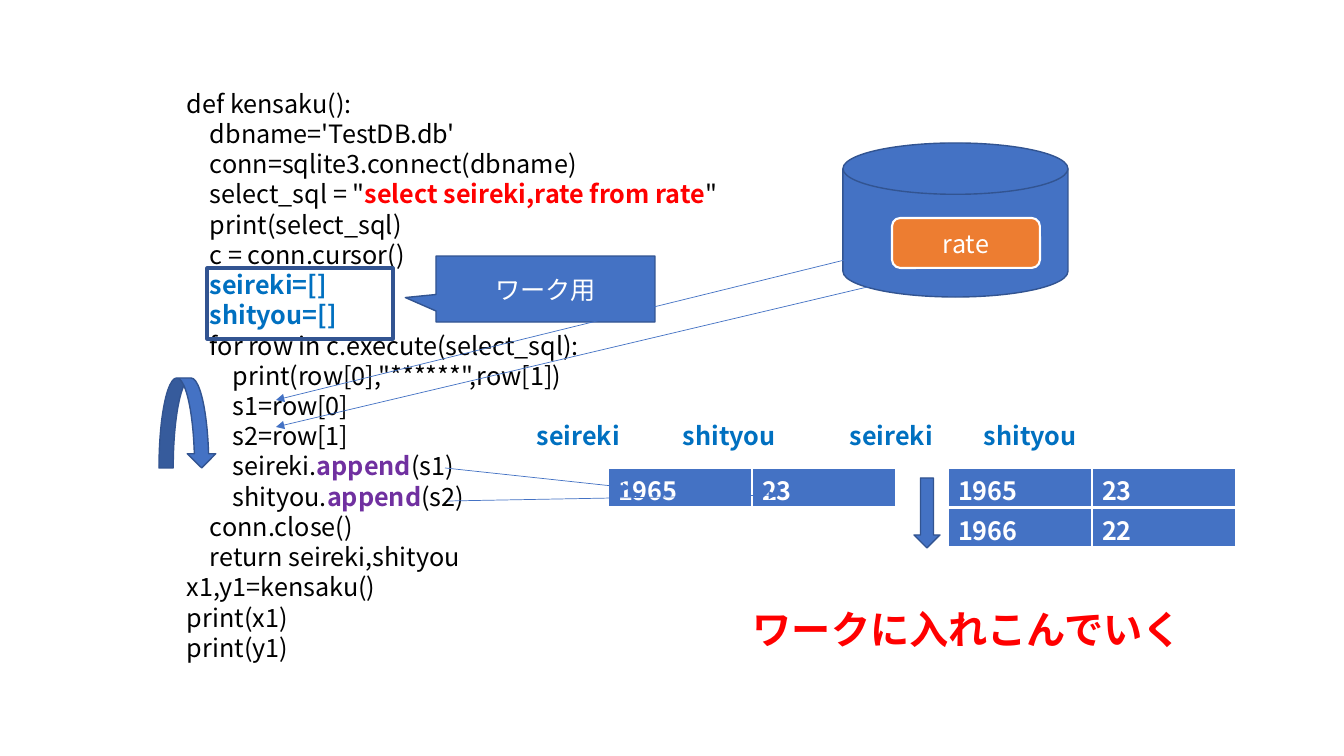
from pptx import Presentation
from pptx.dml.color import RGBColor
from pptx.enum.shapes import MSO_CONNECTOR, MSO_SHAPE
from pptx.enum.text import MSO_ANCHOR, PP_ALIGN
from pptx.oxml.ns import qn
from pptx.util import Pt
from lxml.etree import SubElement

FONT = "Noto Sans CJK JP"
BLUE, EDGE, ORANGE = "4472C4", "325491", "ED7D31"
BLACK, WHITE, RED, SKY, PURPLE = "000000", "FFFFFF", "FF0000", "0070C0", "7030A0"

# Each code line: indent level, then runs of (text, colour); coloured runs are bold
CODE = [
    (0, [("def kensaku():", BLACK)]),
    (1, [("dbname='TestDB.db'", BLACK)]),
    (1, [("conn=sqlite3.connect(dbname)", BLACK)]),
    (1, [('select_sql = "', BLACK), ("select seireki,rate from rate", RED), ('"', BLACK)]),
    (1, [("print(select_sql)", BLACK)]),
    (1, [("c = conn.cursor()", BLACK)]),
    (1, [("seireki=[]", SKY)]),
    (1, [("shityou=[]", SKY)]),
    (1, [("for row in c.execute(select_sql):", BLACK)]),
    (2, [('print(row[0],"******",row[1])', BLACK)]),
    (2, [("s1=row[0]", BLACK)]),
    (2, [("s2=row[1]", BLACK)]),
    (2, [("seireki.", BLACK), ("append", PURPLE), ("(s1)", BLACK)]),
    (2, [("shityou.", BLACK), ("append", PURPLE), ("(s2)", BLACK)]),
    (1, [("conn.close()", BLACK)]),
    (1, [("return seireki,shityou", BLACK)]),
    (0, [("x1,y1=kensaku()", BLACK)]),
    (0, [("print(x1)", BLACK)]),
    (0, [("print(y1)", BLACK)]),
]
HEADS = [("seireki", 537), ("shityou", 683), ("seireki", 850), ("shityou", 984)]
ROWS = [(608, 468, ["1965", "23"]), (948, 468, ["1965", "23"]),
        (948, 508, ["1966", "22"])]
APPENDS = [(445, 468, 631, 488), (448, 501, 777, 495)]
FETCHES = [(861, 256, 276, 400), (914, 276, 276, 427)]
STEP, INDENT, PAD, CELL, HIGH = 21.6, 23, 10, 144, 40

SCALE = 914400 / 100.8


def px(*nums):
    """Turn pixels into a list of EMU."""
    return [round(n * SCALE) for n in nums]


def rgb(code):
    """Turn a hex string into a colour."""
    return RGBColor.from_string(code)


def write(par, text, size=18, color=BLACK, bold=False):
    """Add one formatted run to a paragraph."""
    run = par.add_run()
    run.text = text
    font = run.font
    font.size, font.bold, font.name = Pt(size), bold, FONT
    font.color.rgb = rgb(color)
    SubElement(font._element, qn("a:ea"), typeface=FONT)


def box(*area):
    """Add an empty text box and return its frame."""
    frame = slide.shapes.add_textbox(*px(*area)).text_frame
    frame.word_wrap = True
    return frame


def shape(kind, area, fill=BLUE, line=EDGE, width=1, text="", adjust=()):
    """Add a preset shape with optional centred text."""
    item = slide.shapes.add_shape(kind, *px(*area))
    item.shadow.inherit = False
    if fill:
        item.fill.solid()
        item.fill.fore_color.rgb = rgb(fill)
    else:
        item.fill.background()
    item.line.color.rgb = rgb(line)
    item.line.width = Pt(width)
    for spot, value in enumerate(adjust):
        item.adjustments[spot] = value
    if text:
        frame = item.text_frame
        frame.vertical_anchor = MSO_ANCHOR.MIDDLE
        frame.paragraphs[0].alignment = PP_ALIGN.CENTER
        write(frame.paragraphs[0], text, color=WHITE)


def arrow(*ends):
    """Add a thin line with a triangle at its end."""
    item = slide.shapes.add_connector(MSO_CONNECTOR.STRAIGHT, *px(*ends))
    item.line.color.rgb = rgb(BLUE)
    item.line.width = Pt(0.5)
    SubElement(item.line._get_or_add_ln(), qn("a:tailEnd"), type="triangle")
    SubElement(item._element.spPr, qn("a:effectLst"))


def edge(cell):
    """Give a cell white borders, thick below."""
    props = cell._tc.get_or_add_tcPr()
    for spot, (side, width) in enumerate([("L", 1), ("R", 1), ("T", 1), ("B", 3)]):
        line = SubElement(props, qn("a:ln" + side), w=str(Pt(width)))
        fill = SubElement(line, qn("a:solidFill"))
        SubElement(fill, qn("a:srgbClr"), val=WHITE)
        props.insert(spot, line)


def record(left, top, values):
    """Add a one-row table."""
    table = slide.shapes.add_table(
        1, len(values), *px(left, top, CELL * len(values), HIGH)).table
    for cell, value in zip(table.rows[0].cells, values):
        cell.fill.solid()
        cell.fill.fore_color.rgb = rgb(BLUE)
        cell.margin_top, cell.margin_bottom = px(PAD, 0)
        par = cell.text_frame.paragraphs[0]
        par.line_spacing = Pt(STEP)
        write(par, value, color=WHITE, bold=True)
        edge(cell)


deck = Presentation()
deck.slide_width, deck.slide_height = px(1344, 756)
slide = deck.slides.add_slide(deck.slide_layouts[6])

frame = box(177, 83, 1118, 591)
for num, (level, runs) in enumerate(CODE):
    par = frame.add_paragraph() if num else frame.paragraphs[0]
    par.line_spacing = Pt(STEP)
    par._p.get_or_add_pPr().set("marL", str(px(INDENT * level)[0]))
    for text, color in runs:
        write(par, text, color=color, bold=color != BLACK)

for text, left in HEADS:
    par = box(left - PAD, 415, 130, 40).paragraphs[0]
    par.line_spacing = Pt(STEP)
    write(par, text, color=SKY, bold=True)

shape(MSO_SHAPE.RECTANGLE, (207, 268, 186, 71), fill=None, width=2.25)
shape(MSO_SHAPE.RECTANGULAR_CALLOUT, (436, 256, 219, 66), text="ワーク用",
      adjust=(-0.64, 0.13))
for row in ROWS:
    record(*row)
for ends in APPENDS:
    arrow(*ends)
shape(MSO_SHAPE.DOWN_ARROW, (914, 478, 26, 70))
shape(MSO_SHAPE.FLOWCHART_MAGNETIC_DISK, (843, 143, 225, 154))
for ends in FETCHES:
    arrow(*ends)
shape(MSO_SHAPE.CURVED_DOWN_ARROW, (159, 378, 57, 90))
write(box(743, 600, 494, 57).paragraphs[0], "ワークに入れこんでいく",
      size=28, color=RED, bold=True)
shape(MSO_SHAPE.ROUNDED_RECTANGLE, (892, 218, 148, 50), fill=ORANGE, line=WHITE,
      width=1.5, text="rate")

deck.save("out.pptx")
